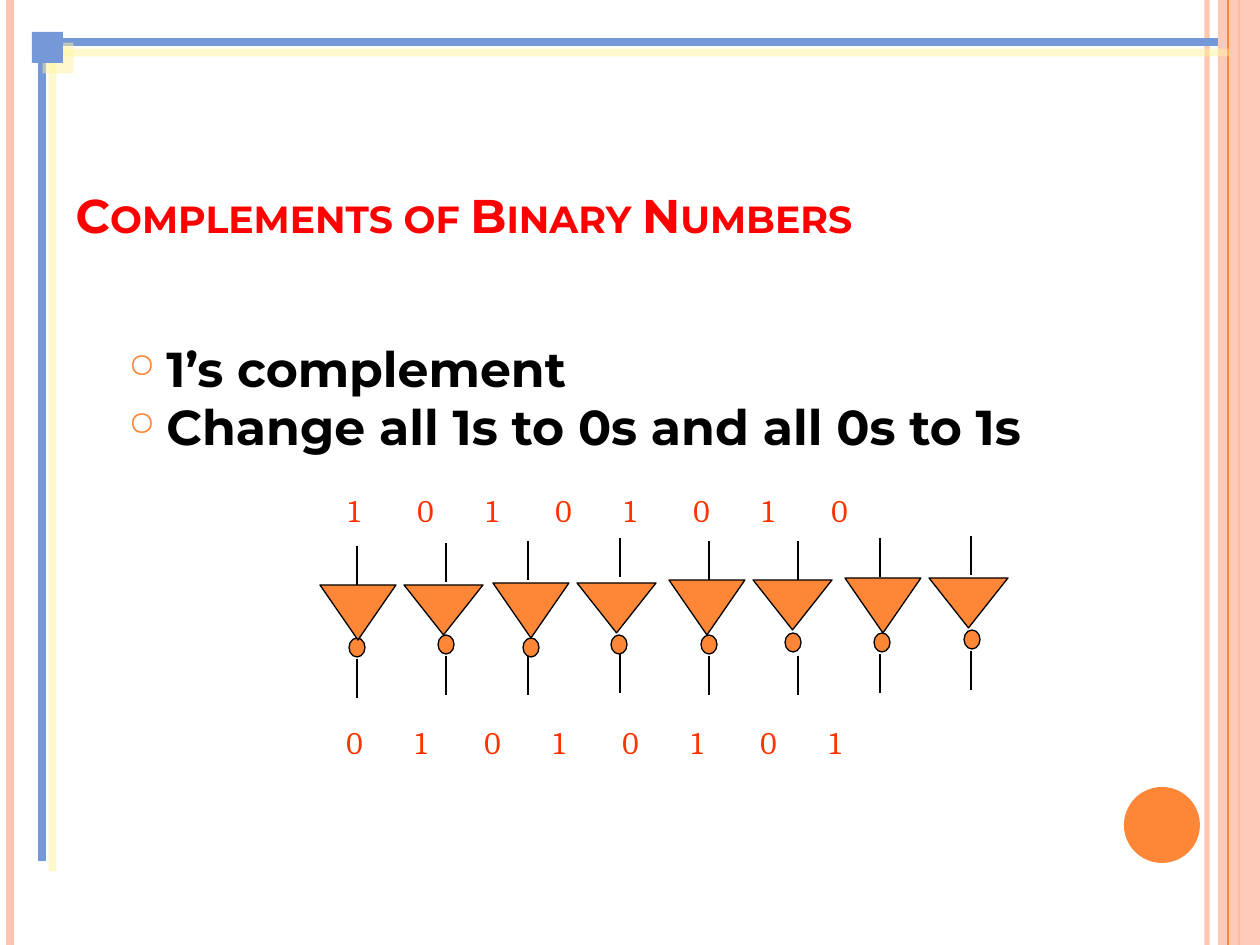
from collections import namedtuple

from lxml.etree import SubElement
from pptx import Presentation
from pptx.dml.color import RGBColor
from pptx.enum.shapes import MSO_CONNECTOR, MSO_SHAPE
from pptx.enum.text import MSO_ANCHOR, MSO_AUTO_SIZE
from pptx.oxml.ns import qn
from pptx.util import Emu, Pt

EMU_PER_PX = 914400 / 126
WIDTH, HEIGHT = 1260, 945
COLORS = {
    "peach": "FEC3AE",
    "orange": "FE8637",
    "blue": "7598D9",
    "cream": "FFF39D",
    "title": "FF0000",
    "digit": "FF3300",
    "black": "000000",
}
HEADING_FONT = "Montserrat"
DIGIT_FONT = "Cambria"
DIGIT_PITCH = 69
INPUT_BITS = "10101010"
OUTPUT_BITS = "01010101"

Inverter = namedtuple(
    "Inverter", "triangle_left bubble_left bubble_top wire_x input_top output_top")
INVERTERS = [
    Inverter(320, 349, 638, 357, 546, 659),
    Inverter(404, 438, 635, 446, 543, 656),
    Inverter(493, 523, 638, 528, 541, 656),
    Inverter(577, 611, 635, 620, 538, 654),
    Inverter(669, 701, 635, 709, 541, 656),
    Inverter(753, 785, 633, 798, 541, 656),
    Inverter(845, 874, 633, 880, 538, 654),
    Inverter(929, 964, 630, 971, 536, 651),
]
TRIANGLE_TOP = 585
WIRE_LENGTH = 39


def px(value):
    return Emu(round(value * EMU_PER_PX))


def rgb(name):
    return RGBColor.from_string(COLORS[name])


def set_alpha(color_parent, percent):
    color = next(color_parent.iter(qn("a:srgbClr")))
    SubElement(color, qn("a:alpha")).set("val", str(percent * 1000))


def add_offset_shadow(shape):
    """Give the shape a sharp, half-clear cream shadow to the lower right."""
    properties = shape._element.spPr
    effects = properties.find(qn("a:effectLst"))
    shadow = SubElement(effects, qn("a:outerShdw"), blurRad="0",
                        dist=str(Pt(8.5)), dir="2700000",
                        algn="ctr", rotWithShape="0")
    SubElement(shadow, qn("a:srgbClr")).set("val", COLORS["cream"])
    set_alpha(shadow, 50)


def add_line(slide, start, end, color, width):
    line = slide.shapes.add_connector(
        MSO_CONNECTOR.STRAIGHT, *(px(value) for value in start + end))
    line.line.color.rgb = rgb(color)
    line.line.width = Pt(width)
    SubElement(line._element.spPr, qn("a:effectLst"))
    return line


def add_shape(slide, kind, box, fill, outline=None):
    shape = slide.shapes.add_shape(kind, *(px(value) for value in box))
    shape.shadow.inherit = False
    shape.fill.solid()
    shape.fill.fore_color.rgb = rgb(fill)
    if outline:
        shape.line.color.rgb = rgb(outline)
        shape.line.width = Pt(0.75)
    else:
        shape.line.fill.background()
    return shape


def add_run(paragraph, text, font_name, size, color, bold=False):
    run = paragraph.add_run()
    run.text = text
    run.font.name = font_name
    run.font.size = Pt(size)
    run.font.bold = bold
    run.font.color.rgb = rgb(color)
    return run


def add_text_box(slide, box):
    text_box = slide.shapes.add_textbox(*(px(value) for value in box))
    text_box.text_frame.word_wrap = True
    return text_box.text_frame


def add_side_bands(slide):
    band_line = add_line(slide, (1207, 0), (1207, HEIGHT), "peach", 3)
    set_alpha(band_line._element.spPr, 93)
    add_line(slide, (10, 0), (10, HEIGHT), "peach", 4.5)
    add_line(slide, (1239, 0), (1239, HEIGHT), "orange", 1.5)
    band = add_shape(slide, MSO_SHAPE.RECTANGLE, (1218, 0, WIDTH - 1218, HEIGHT), "peach")
    set_alpha(band._element.spPr, 87)
    add_line(slide, (1228, 0), (1228, HEIGHT), "orange", 0.75)
    add_shape(slide, MSO_SHAPE.OVAL, (1124, 787, 76, 76), "orange")


def add_corner_frame(slide):
    corner = (42, 42)
    for end in ((1218, 42), (42, 861)):
        add_offset_shadow(add_line(slide, corner, end, "blue", 4.5))
    add_offset_shadow(add_shape(slide, MSO_SHAPE.RECTANGLE, (32, 32, 31, 31), "blue"))


def format_title(slide, text):
    title = slide.shapes.title
    title.left, title.top, title.width, title.height = map(px, (63, 186, 1134, 63))
    frame = title.text_frame
    frame.auto_size = MSO_AUTO_SIZE.NONE
    frame.vertical_anchor = MSO_ANCHOR.BOTTOM
    paragraph = frame.paragraphs[0]
    paragraph._p.get_or_add_pPr().set("algn", "l")
    run = add_run(paragraph, text, HEADING_FONT, 27, "title", bold=True)
    run._r.get_or_add_rPr().set("cap", "small")


def set_bullet(paragraph):
    properties = paragraph._p.get_or_add_pPr()
    properties.set("marL", str(px(38)))
    properties.set("indent", str(px(-38)))
    color = SubElement(properties, qn("a:buClr"))
    SubElement(color, qn("a:srgbClr")).set("val", COLORS["orange"])
    SubElement(properties, qn("a:buSzPct")).set("val", "70000")
    SubElement(properties, qn("a:buChar")).set("char", "○")


def add_bullets(slide, lines):
    frame = add_text_box(slide, (116, 344, 1081, 126))
    for index, text in enumerate(lines):
        paragraph = frame.add_paragraph() if index else frame.paragraphs[0]
        set_bullet(paragraph)
        paragraph.line_spacing = 0.8
        if index:
            paragraph.space_before = Pt(6)
        add_run(paragraph, text, HEADING_FONT, 28, "black", bold=True)


def add_bit_row(slide, left, top, bits):
    """Write the bits in one paragraph, spread by evenly spaced tab stops."""
    paragraph = add_text_box(slide, (left, top, 703, 50)).paragraphs[0]
    tabs = SubElement(paragraph._p.get_or_add_pPr(), qn("a:tabLst"))
    for index in range(1, len(bits)):
        SubElement(tabs, qn("a:tab"), pos=str(px(index * DIGIT_PITCH)), algn="l")
    add_run(paragraph, "\t".join(bits), DIGIT_FONT, 18, "digit")


def add_inverter(slide, index, inverter):
    bubble = (inverter.bubble_left, inverter.bubble_top, 16, 19)
    add_shape(slide, MSO_SHAPE.OVAL, bubble, "orange", "black")
    top = TRIANGLE_TOP - 5 * (index // 2) // 2
    size = (79, 50) if index % 2 else (76, 55)
    triangle = add_shape(slide, MSO_SHAPE.ISOSCELES_TRIANGLE,
                         (inverter.triangle_left, top) + size, "orange", "black")
    triangle._element.spPr.get_or_add_xfrm().set("flipV", "1")
    for wire_top in (inverter.input_top, inverter.output_top):
        add_line(slide, (inverter.wire_x, wire_top),
                 (inverter.wire_x, wire_top + WIRE_LENGTH), "black", 0.75)


def main():
    presentation = Presentation()
    presentation.slide_width = px(WIDTH)
    presentation.slide_height = px(HEIGHT)
    slide = presentation.slides.add_slide(presentation.slide_layouts[5])
    add_side_bands(slide)
    format_title(slide, "Complements of Binary Numbers")
    add_bullets(slide, ["1’s complement", "Change all 1s to 0s and all 0s to 1s"])
    add_corner_frame(slide)
    add_bit_row(slide, 336, 485, INPUT_BITS)
    add_bit_row(slide, 334, 717, OUTPUT_BITS)
    for index, inverter in enumerate(INVERTERS):
        add_inverter(slide, index, inverter)
    presentation.save("out.pptx")


if __name__ == "__main__":
    main()
